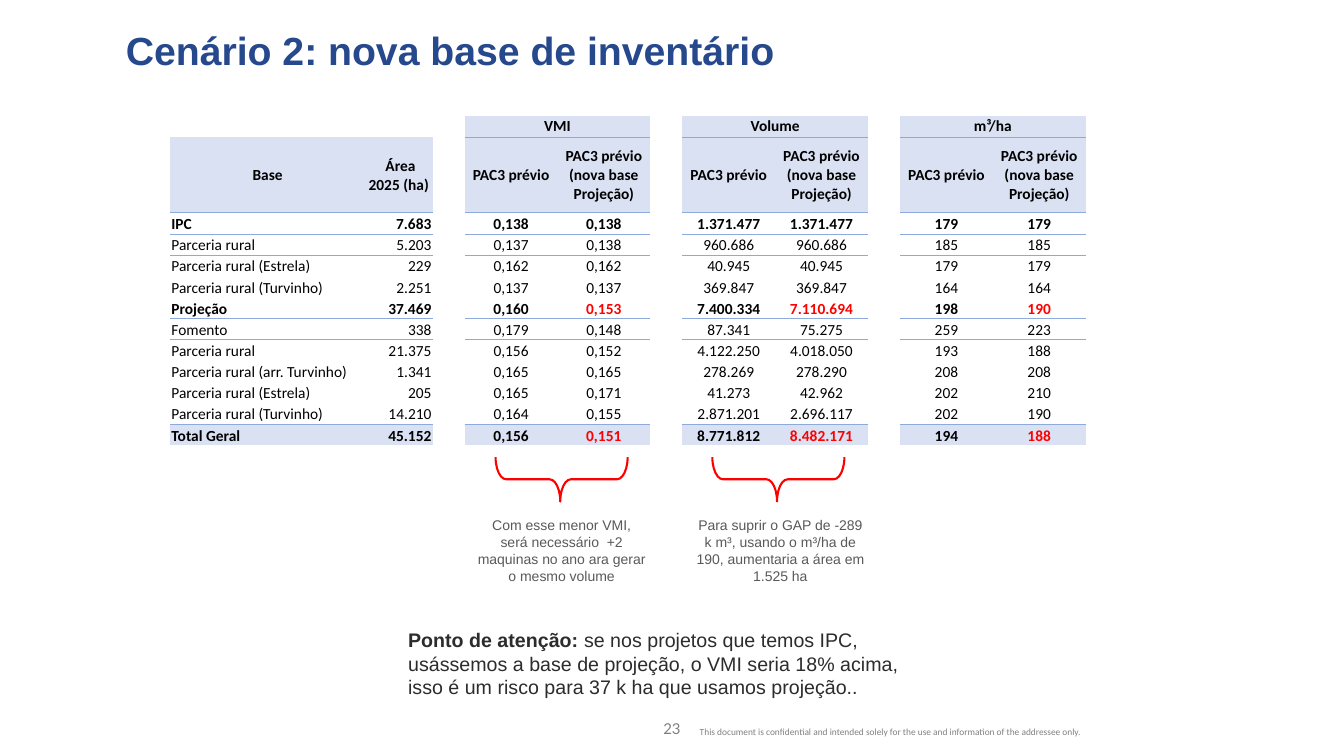
import pptx
import pptx.util
import pptx.dml.color
import pptx.enum.text
import pptx.enum.shapes
import lxml.etree

Inches, Pt = pptx.util.Inches, pptx.util.Pt
ALIGN = pptx.enum.text.PP_ALIGN
ANCHOR = pptx.enum.text.MSO_ANCHOR

PALE, LINE, RED, BLACK = "D9E1F2", "8EA9DB", "FF0000", "000000"
OLD, NEW = "PAC3 prévio", "PAC3 prévio (nova base Projeção)"
GROUPS = ["VMI", "Volume", "m³/ha"]
ROWS = [
    ["", "", "VMI", "", "Volume", "", "m³/ha", ""],
    ["Base", " Área 2025 (ha)"] + [OLD, NEW] * 3,
    ["IPC", "7.683", "0,138", "0,138", "1.371.477", "1.371.477", "179", "179"],
    ["Parceria rural", "5.203", "0,137", "0,138", "960.686", "960.686", "185", "185"],
    ["Parceria rural (Estrela)", "229", "0,162", "0,162", "40.945", "40.945", "179", "179"],
    ["Parceria rural (Turvinho)", "2.251", "0,137", "0,137", "369.847", "369.847", "164", "164"],
    ["Projeção", "37.469", "0,160", "0,153", "7.400.334", "7.110.694", "198", "190"],
    ["Fomento", "338", "0,179", "0,148", "87.341", "75.275", "259", "223"],
    ["Parceria rural", "21.375", "0,156", "0,152", "4.122.250", "4.018.050", "193", "188"],
    ["Parceria rural (arr. Turvinho)", "1.341", "0,165", "0,165", "278.269", "278.290", "208", "208"],
    ["Parceria rural (Estrela)", "205", "0,165", "0,171", "41.273", "42.962", "202", "210"],
    ["Parceria rural (Turvinho)", "14.210", "0,164", "0,155", "2.871.201", "2.696.117", "202", "190"],
    ["Total Geral", "45.152", "0,156", "0,151", "8.771.812", "8.482.171", "194", "188"],
]
WIDTHS = [1.93, 0.67] + [0.32, 0.92, 0.92] * 3
COLS = [0, 1, 3, 4, 6, 7, 9, 10]
BOLD = {0, 1, 2, 6, 12}
SHADED = {0, 1, 12}
RULED = {0, 1, 2, 6, 11}
REDS = {(r, c) for r in (6, 12) for c in (4, 7, 10)}
NOTES = [
    (4.64, 5.35, "Com esse menor VMI, será necessário  +2 maquinas no ano ara gerar o mesmo volume"),
    (6.81, 7.5, "Para suprir o GAP de -289 k m³, usando o m³/ha de 190, aumentaria a área em 1.525 ha"),
]
TITLE = "Cenário 2: nova base de inventário"
ALERT = [
    ("Ponto de atenção: ", True),
    ("se nos projetos que temos IPC, usássemos a base de projeção, o VMI seria 18% acima, "
     "isso é um risco para 37 k ha que usamos projeção..", False),
]
LEGAL = "This document is confidential and intended solely for the use and information of the addressee only."


def tint(text):
    return pptx.dml.color.RGBColor.from_string(text)


def style(par, size, face, color, bold=None, align=ALIGN.LEFT):
    par.alignment = align
    font = par.font
    font.size, font.name, font.bold = Pt(size), face, bold
    font.color.rgb = tint(color)


def label(box, runs, size, face, color, align=ALIGN.LEFT, side=0.1, gap=0, anchor=ANCHOR.TOP):
    frame = slide.shapes.add_textbox(*map(Inches, box)).text_frame
    frame.word_wrap = True
    frame.vertical_anchor = anchor
    frame.margin_left = frame.margin_right = Inches(side)
    par = frame.paragraphs[0]
    par.space_before = par.space_after = Pt(gap)
    style(par, size, face, color, align=align)
    for text, bold in runs:
        run = par.add_run()
        run.text, run.font.bold = text, bold


def rule(cell, tag, spot):
    ns = "http://schemas.openxmlformats.org/drawingml/2006/main"
    edge = lxml.etree.fromstring(
        f'<a:{tag} xmlns:a="{ns}" w="6350"><a:solidFill><a:srgbClr val="{LINE}"/>'
        f'</a:solidFill></a:{tag}>')
    cell._tc.get_or_add_tcPr().insert(spot, edge)


def draw_table():
    frame = slide.shapes.add_table(len(ROWS), len(WIDTHS), *map(Inches, (1.69, 1.15, 9.06, 3.25)))
    grid = frame.table
    grid.first_row = grid.horz_banding = False
    grid._tbl.tblPr[0].text = "{2D5ABB26-0587-4C30-8999-92F81FD0307C}"
    for col, wide in zip(grid.columns, WIDTHS):
        col.width = Inches(wide)
    for r, row in enumerate(ROWS):
        grid.rows[r].height = Inches(0.75 if r == 1 else 0.21)
        texts = dict(zip(COLS, row))
        for c in range(len(WIDTHS)):
            cell = grid.cell(r, c)
            cell.margin_left = cell.margin_right = cell.margin_top = Inches(0.01)
            cell.margin_bottom = 0
            cell.vertical_anchor = (ANCHOR.TOP if r == 0 else ANCHOR.MIDDLE if r == 1
                                    else ANCHOR.BOTTOM)
            cell.text = texts.get(c, "")
            par = cell.text_frame.paragraphs[0]
            align = (ALIGN.CENTER if r < 2 or c > 1 else ALIGN.RIGHT if c else ALIGN.LEFT)
            style(par, 11, "Calibri", RED if (r, c) in REDS else BLACK, r in BOLD, align)
            if not cell.text:
                par._p.get_or_add_endParaRPr().set("sz", "1100")
            live = c in COLS and (r > 0 or c > 1)
            if live and r in SHADED:
                cell.fill.solid()
                cell.fill.fore_color.rgb = tint(PALE)
            else:
                cell.fill.background()
            if live and r in RULED:
                rule(cell, "lnB", 0)
            if live and r - 1 in RULED and (r > 1 or c > 1):
                rule(cell, "lnT", 0)
    for c in COLS[2::2]:
        grid.cell(0, c).merge(grid.cell(0, c + 1))


deck = pptx.Presentation()
deck.slide_width, deck.slide_height = Inches(13.33), Inches(7.5)
slide = deck.slides.add_slide(deck.slide_layouts[6])

label((6.94, 7.16, 4.91, 0.26), [(LEGAL, None)], 6.7, "Calibri", "808080", side=0, gap=3)
label((6.45, 7.09, 0.43, 0.26), [("23", None)], 10.7, "Lato", "808080", ALIGN.CENTER, gap=3)
label((1.15, 0.09, 9.16, 0.69), [(TITLE, True)], 28, "Arial", "26488C", gap=3, anchor=ANCHOR.BOTTOM)
draw_table()
for left, mid, text in NOTES:
    brace = slide.shapes.add_shape(pptx.enum.shapes.MSO_SHAPE.LEFT_BRACE,
                                   *map(Inches, (mid, 4.1, 0.44, 1.31)))
    brace.rotation = 270
    brace.adjustments[0], brace.adjustments[1] = 0.24, 0.49
    brace.shadow.inherit = False
    brace.fill.background()
    brace.line.color.rgb, brace.line.width = tint(RED), Pt(1.5)
    label((left, 5.08, 1.86, 0.77), [(text, None)], 10, "Arial", "595959", ALIGN.CENTER)
label((3.95, 6.18, 5.43, 0.81), ALERT, 14, "Arial", "2C2C2C")

deck.save("out.pptx")
